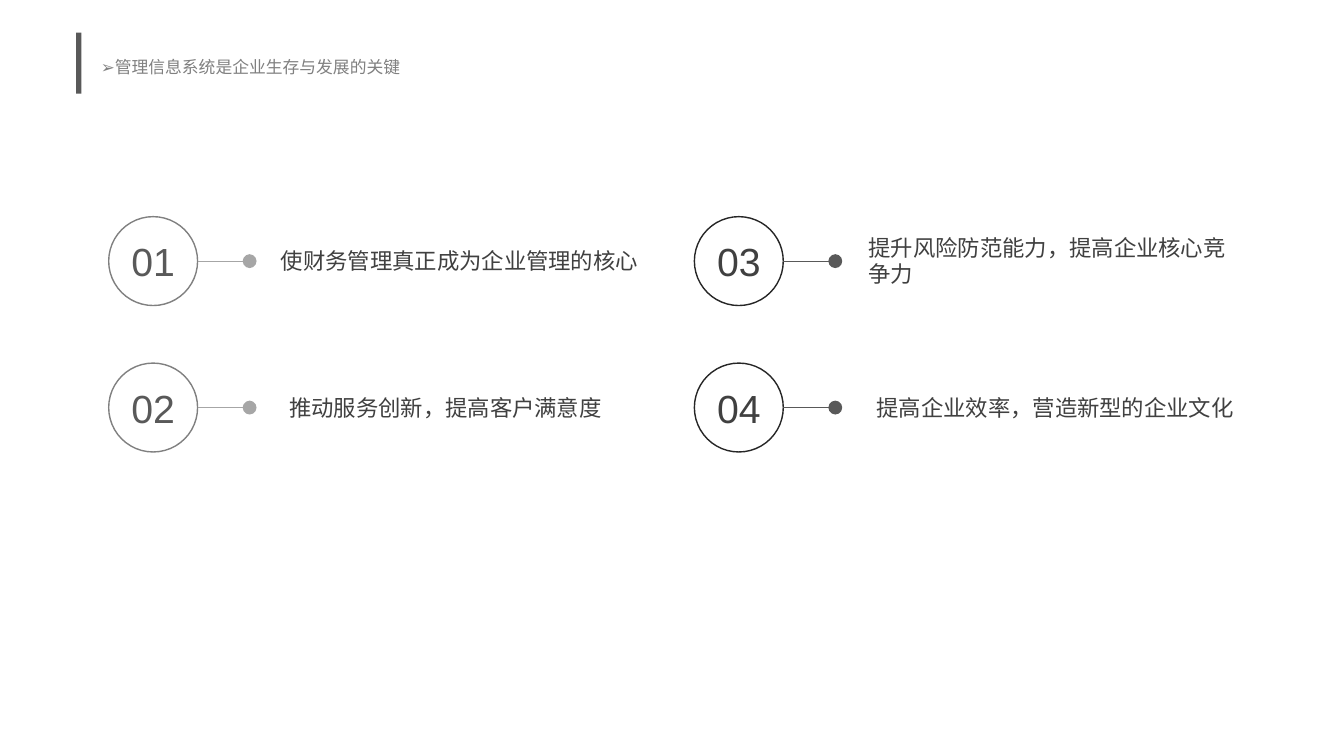
"""Builds a slide with four numbered benefits of management information systems."""
import pptx
import pptx.util
import pptx.dml.color
import pptx.enum.shapes
import pptx.enum.text
import pptx.oxml.ns
import lxml.etree

Cm, Pt = pptx.util.Cm, pptx.util.Pt
SHAPE = pptx.enum.shapes.MSO_SHAPE
ANCHOR = pptx.enum.text.MSO_ANCHOR
ALIGN = pptx.enum.text.PP_ALIGN
qn = pptx.oxml.ns.qn

TITLE = "➢管理信息系统是企业生存与发展的关键"
CJK = "Noto Sans CJK SC"
COLUMNS = [
    {"left": 2.74, "ring": "808080", "number": "595959", "line": "A6A6A6",
     "items": [("使财务管理真正成为企业管理的核心", 6.83, 1),
               ("推动服务创新，提高客户满意度", 7.04, 1)]},
    {"left": 17.5, "ring": "262626", "number": "404040", "line": "595959",
     "items": [("提升风险防范能力，提高企业核心竞争力", 21.64, 2),
               ("提高企业效率，营造新型的企业文化", 21.84, 1)]},
]
TOP, ROW_STEP, DIAMETER, LINE_LENGTH = 5.46, 3.69, 2.24, 1.31
TEXT_WIDTH, TEXT_HEIGHTS = 9.86, {1: 0.94, 2: 1.63}


def color(value):
    return pptx.dml.color.RGBColor.from_string(value)


def write(tf, text, size, font, value):
    tf.text = text
    p = tf.paragraphs[0]
    r = p.runs[0]
    r.font.size, r.font.name = Pt(size), font
    r.font.color.rgb = color(value)
    ea = lxml.etree.SubElement(r.font._element, qn("a:ea"))
    ea.set("typeface", font)
    return p


def add_text(s, box, text, size, value):
    tf = s.shapes.add_textbox(*map(Cm, box)).text_frame
    tf.word_wrap = True
    return tf, write(tf, text, size, CJK, value)


def add_number(s, left, top, number, column):
    sp = s.shapes.add_shape(SHAPE.OVAL, Cm(left), Cm(top), Cm(DIAMETER), Cm(DIAMETER))
    sp.shadow.inherit = False
    sp.fill.background()
    sp.line.color.rgb = color(column["ring"])
    sp.line.width = Pt(1)
    tf = sp.text_frame
    tf.word_wrap = False
    tf.vertical_anchor = ANCHOR.MIDDLE
    write(tf, f"{number:02d}", 28, "Arial", column["number"]).alignment = ALIGN.CENTER


def add_pointer(s, left, y, value):
    c = s.shapes.add_connector(pptx.enum.shapes.MSO_CONNECTOR.STRAIGHT,
                               Cm(left), Cm(y), Cm(left + LINE_LENGTH), Cm(y))
    c.line.color.rgb = color(value)
    c.line.width = Pt(0.5)
    tail = lxml.etree.SubElement(c.line._get_or_add_ln(), qn("a:tailEnd"))
    for key, setting in (("type", "oval"), ("w", "lg"), ("len", "lg")):
        tail.set(key, setting)
    lxml.etree.SubElement(c._element.spPr, qn("a:effectLst"))


def main():
    prs = pptx.Presentation()
    prs.slide_width, prs.slide_height = Cm(33.87), Cm(19.05)
    s = prs.slides.add_slide(prs.slide_layouts[6])

    bar = s.shapes.add_shape(SHAPE.RECTANGLE, Cm(1.92), Cm(0.82), Cm(0.13), Cm(1.54))
    bar.shadow.inherit = False
    bar.fill.solid()
    bar.fill.fore_color.rgb = color("595959")
    bar.line.fill.background()

    tf, p = add_text(s, (2.29, 0.76, 29.21, 1.68), TITLE, 12, "808080")
    tf.vertical_anchor = ANCHOR.MIDDLE
    p.line_spacing = 1.3

    number = 0
    for column in COLUMNS:
        for row, (text, text_left, lines) in enumerate(column["items"]):
            number += 1
            top = TOP + row * ROW_STEP
            middle = top + DIAMETER / 2
            height = TEXT_HEIGHTS[lines]
            add_number(s, column["left"], top, number, column)
            add_pointer(s, column["left"] + DIAMETER, middle, column["line"])
            add_text(s, (text_left, middle - height / 2, TEXT_WIDTH, height),
                     text, 16, "404040")

    prs.save("out.pptx")


if __name__ == "__main__":
    main()
